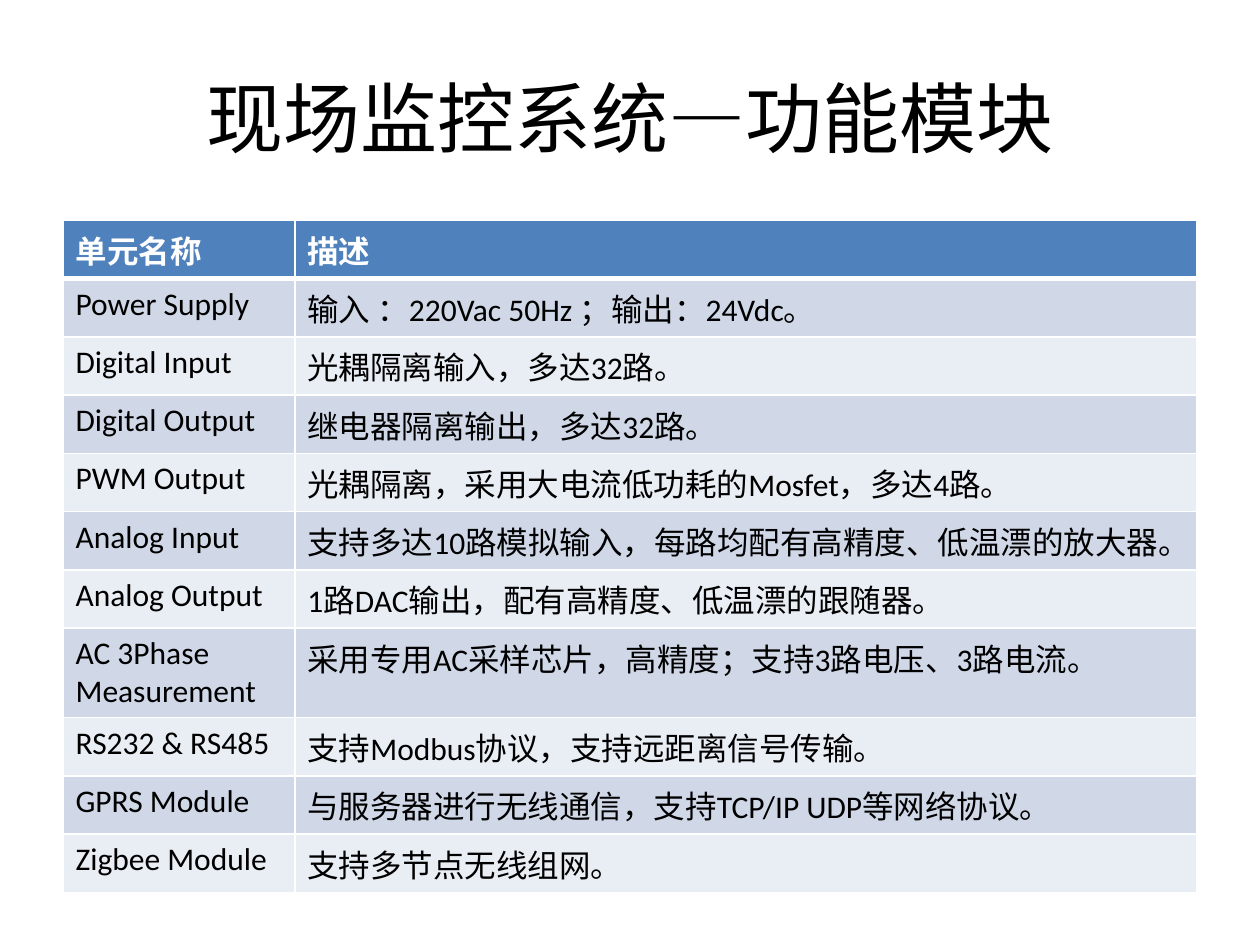
from lxml import etree
from pptx import Presentation
from pptx.dml.color import RGBColor
from pptx.enum.text import MSO_ANCHOR, PP_ALIGN
from pptx.oxml.ns import qn
from pptx.util import Inches, Pt

MIDDLE = MSO_ANCHOR.MIDDLE
CENTER = PP_ALIGN.CENTER
TITLE_ONLY = 5

ROWS = [
    ("单元名称", "描述"),
    ("Power Supply", "输入 ：220Vac 50Hz ；输出：24Vdc。"),
    ("Digital Input", "光耦隔离输入，多达32路。"),
    ("Digital Output", "继电器隔离输出，多达32路。"),
    ("PWM Output", "光耦隔离，采用大电流低功耗的Mosfet，多达4路。"),
    ("Analog Input", "支持多达10路模拟输入，每路均配有高精度、低温漂的放大器。"),
    ("Analog Output", "1路DAC输出，配有高精度、低温漂的跟随器。"),
    ("AC 3Phase Measurement", "采用专用AC采样芯片，高精度；支持3路电压、3路电流。"),
    ("RS232 & RS485", "支持Modbus协议，支持远距离信号传输。"),
    ("GPRS Module", "与服务器进行无线通信，支持TCP/IP UDP等网络协议。"),
    ("Zigbee Module", "支持多节点无线组网。"),
]


def color(code):
    return RGBColor.from_string(code)


class Deck:
    font = "Calibri"
    black, white = "000000", "FFFFFF"
    blue = "4F81BD"
    bands = ("E9EDF4", "D0D8E8")

    def __init__(self):
        self.prs = Presentation()
        self.prs.slide_width = Inches(10)
        self.prs.slide_height = Inches(7.5)
        layout = self.prs.slide_layouts[TITLE_ONLY]
        self.slide = self.prs.slides.add_slide(layout)

    def style(self, para, size, ink, bold=False):
        values = {"name": self.font, "size": Pt(size), "bold": bold}
        for run in para.runs:
            for key, value in values.items():
                setattr(run.font, key, value)
            run.font.color.rgb = color(ink)

    def title(self, text, left, top, width, height):
        shape = self.slide.shapes.title
        box = {"left": left, "top": top, "width": width, "height": height}
        for key, value in box.items():
            setattr(shape, key, Inches(value))
        frame = shape.text_frame
        frame.text = text
        frame.vertical_anchor = MIDDLE
        para = frame.paragraphs[0]
        para.alignment = CENTER
        self.style(para, 44, self.black)

    def border(self, cell, side, width):
        props = cell._tc.get_or_add_tcPr()
        line = etree.SubElement(props, qn("a:ln" + side), w=str(Pt(width)))
        fill = etree.SubElement(line, qn("a:solidFill"))
        etree.SubElement(fill, qn("a:srgbClr"), val=self.white)

    def cell(self, cell, text, row):
        head = row == 0
        # A thick rule parts the header from the body
        widths = {"L": 1, "R": 1, "T": 3 if row == 1 else 1, "B": 3 if head else 1}
        for side, width in widths.items():
            self.border(cell, side, width)
        cell.fill.solid()
        cell.fill.fore_color.rgb = color(self.blue if head else self.bands[row % 2])
        cell.text = text
        ink = self.white if head else self.black
        self.style(cell.text_frame.paragraphs[0], 18, ink, head)

    def table(self, rows, left, top, cols, height):
        frame = self.slide.shapes.add_table(
            len(rows), len(cols), Inches(left), Inches(top),
            Inches(sum(cols)), Inches(height * len(rows)))
        grid = frame.table
        for col, width in zip(grid.columns, cols):
            col.width = Inches(width)
        for i, texts in enumerate(rows):
            grid.rows[i].height = Inches(height)
            for j, text in enumerate(texts):
                self.cell(grid.cell(i, j), text, i)


def main():
    deck = Deck()
    # Heading
    deck.title("现场监控系统—功能模块", 0.5, 0.3, 9, 1.25)
    # Module list
    deck.table(ROWS, 0.5, 1.75, (1.84, 7.16), 0.41)
    deck.prs.save("out.pptx")


if __name__ == "__main__":
    main()
